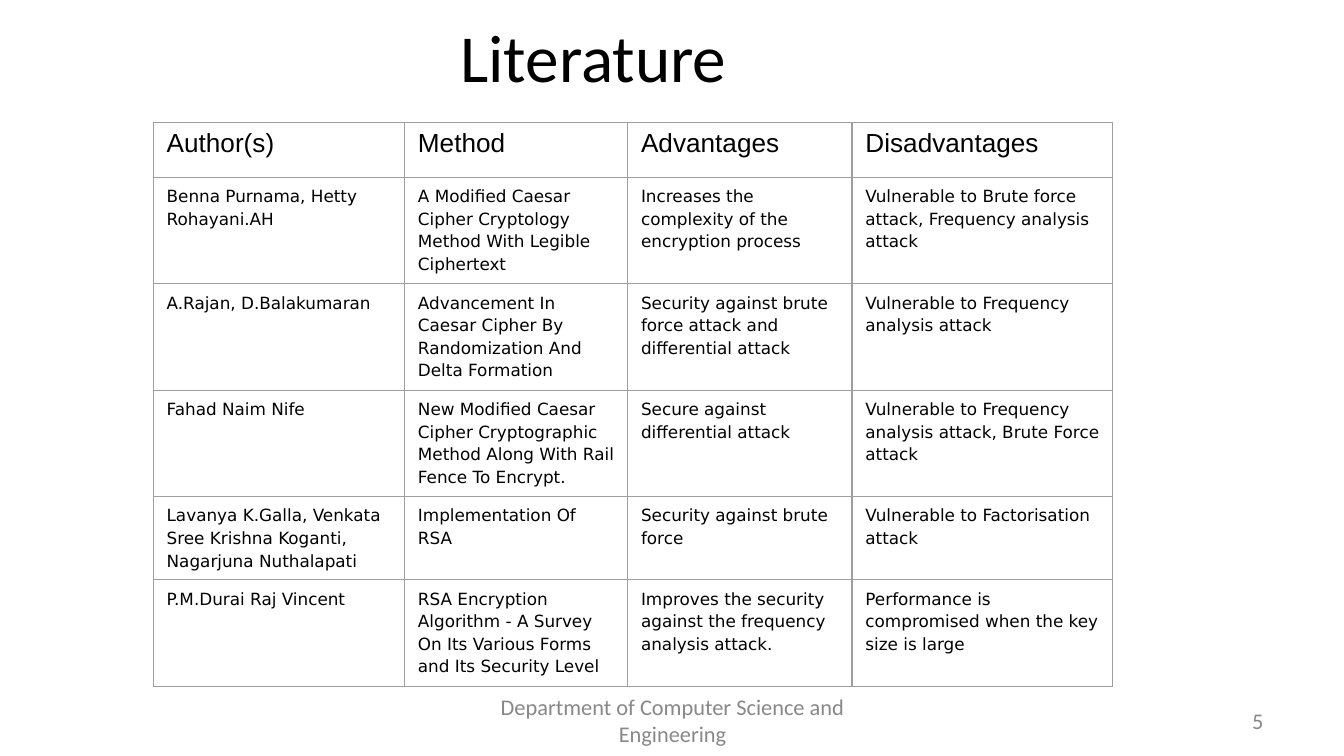
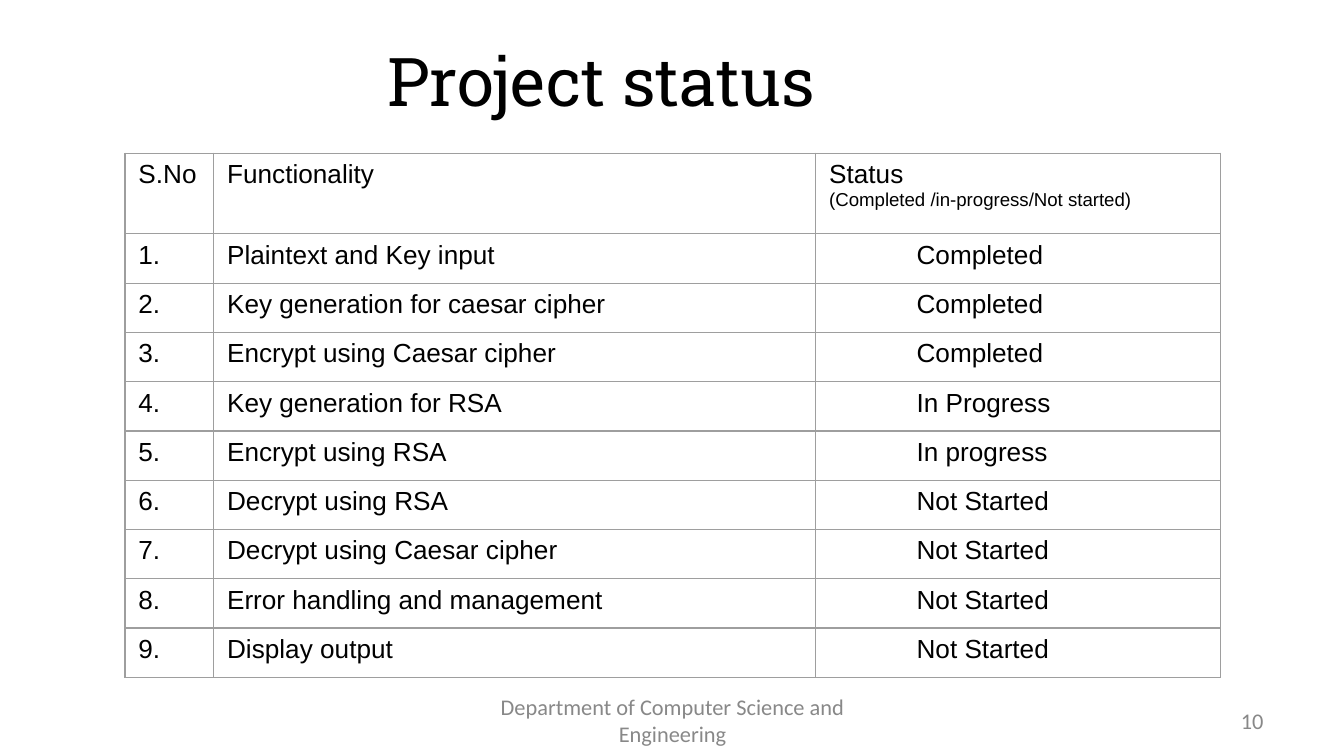
from dataclasses import dataclass

from lxml.etree import SubElement
from pptx import Presentation
from pptx.dml.color import RGBColor
from pptx.enum.text import MSO_ANCHOR, PP_ALIGN
from pptx.oxml.ns import qn
from pptx.util import Inches, Pt

COLORS = {"text": "000000", "muted": "888888", "border": "9E9E9E"}
FOOTER = "Department of Computer Science and Engineering"
BORDER_WIDTH = Pt(0.75)
FRAME_SIDE = Inches(3.28)


@dataclass(frozen=True)
class TextStyle:
    font: str
    size: float
    color: str = "text"
    align: PP_ALIGN = PP_ALIGN.LEFT
    spacing: float = 1.0


@dataclass(frozen=True)
class Box:
    left: float
    top: float
    width: float
    height: float


@dataclass(frozen=True)
class TableSpec:
    left: float
    top: float
    columns: list[float]
    row_heights: list[float]
    rows: list[tuple[str, ...]]
    body: TextStyle
    last_column_margin: float = 0.1


@dataclass(frozen=True)
class SlideSpec:
    title: str
    title_font: str
    title_box: Box
    number: str
    table: TableSpec


# Shared text styles and footer places
HEADER = TextStyle("Arial", 14)
HEADER_NOTE = TextStyle("Arial", 10)
SMALL_BODY = TextStyle("DejaVu Sans", 9, spacing=1.15)
FOOTER_STYLE = TextStyle("Calibri", 12, "muted", PP_ALIGN.CENTER)
NUMBER_STYLE = TextStyle("Calibri", 12, "muted", PP_ALIGN.RIGHT)
FOOTER_BOX = Box(3.42, 5.21, 3.17, 0.3)
NUMBER_BOX = Box(7.17, 5.21, 2.33, 0.3)

LITERATURE = [
    ("Author(s)", "Method", "Advantages", "Disadvantages"),
    ("Benna Purnama, Hetty Rohayani.AH",
     "A Modified Caesar Cipher Cryptology Method With Legible Ciphertext",
     "Increases the complexity of the encryption process",
     "Vulnerable to Brute force attack, Frequency analysis attack"),
    ("A.Rajan, D.Balakumaran",
     "Advancement In Caesar Cipher By Randomization And Delta Formation",
     "Security against brute force attack and differential attack",
     "Vulnerable to Frequency analysis attack"),
    ("Fahad Naim Nife",
     "New Modified Caesar Cipher Cryptographic Method Along With Rail Fence To Encrypt.",
     "Secure against differential attack",
     "Vulnerable to Frequency analysis attack, Brute Force attack"),
    ("Lavanya K.Galla, Venkata Sree Krishna Koganti, Nagarjuna Nuthalapati",
     "Implementation Of RSA",
     "Security against brute force",
     "Vulnerable to Factorisation attack"),
    ("P.M.Durai Raj Vincent",
     "RSA Encryption Algorithm - A Survey On Its Various Forms and Its Security Level",
     "Improves the security against the frequency analysis attack.",
     "Performance is compromised when the key size is large"),
]

TASKS = [
    ("Plaintext and Key input", "Completed"),
    ("Key generation for caesar cipher", "Completed"),
    ("Encrypt using Caesar cipher", "Completed"),
    ("Key generation for RSA", "In Progress"),
    ("Encrypt using RSA", "In progress"),
    ("Decrypt using RSA", "Not Started"),
    ("Decrypt using Caesar cipher", "Not Started"),
    ("Error handling and management", "Not Started"),
    ("Display output", "Not Started"),
]
STATUS = [("S.No", "Functionality", "Status\n(Completed /in-progress/Not started)")]
STATUS += [(f"{number}.", *task) for number, task in enumerate(TASKS, 1)]

SLIDES = [
    SlideSpec("Literature", "Calibri", Box(1.07, 0.07, 6.69, 0.69), "5",
              TableSpec(1.14, 0.91, [1.87, 1.66, 1.67, 1.94],
                        [0.41] * len(LITERATURE), LITERATURE, SMALL_BODY)),
    SlideSpec("Project status", "Roboto Slab", Box(1.13, 0.25, 6.69, 0.69), "10",
              TableSpec(0.93, 1.14, [0.66, 4.48, 3.01],
                        [0.6] + [3.3 / len(TASKS)] * len(TASKS), STATUS, HEADER, 0.75)),
]


def write_paragraph(paragraph, text: str, style: TextStyle) -> None:
    paragraph.alignment = style.align
    paragraph.line_spacing = style.spacing
    run = paragraph.add_run()
    run.text = text
    for name, value in {"name": style.font, "size": Pt(style.size)}.items():
        setattr(run.font, name, value)
    run.font.color.rgb = RGBColor.from_string(COLORS[style.color])


def add_text(slide, box: Box, text: str, style: TextStyle) -> None:
    shape = slide.shapes.add_textbox(Inches(box.left), Inches(box.top),
                                     Inches(box.width), Inches(box.height))
    frame = shape.text_frame
    for name, value in {"word_wrap": True, "vertical_anchor": MSO_ANCHOR.MIDDLE}.items():
        setattr(frame, name, value)
    write_paragraph(frame.paragraphs[0], text, style)


def set_borders(cell) -> None:
    properties = cell._tc.get_or_add_tcPr()
    for position, side in enumerate(("lnL", "lnR", "lnT", "lnB")):
        line = SubElement(properties, qn(f"a:{side}"), w=str(BORDER_WIDTH))
        fill = SubElement(line, qn("a:solidFill"))
        SubElement(fill, qn("a:srgbClr"), val=COLORS["border"])
        properties.insert(position, line)


def add_grid(slide, spec: TableSpec) -> None:
    frame = slide.shapes.add_table(
        len(spec.rows), len(spec.columns), Inches(spec.left), Inches(spec.top),
        FRAME_SIDE, FRAME_SIDE)
    table = frame.table
    for name in ("first_row", "horz_banding"):
        setattr(table, name, False)
    for column, width in zip(table.columns, spec.columns):
        column.width = Inches(width)
    for row, height in zip(table.rows, spec.row_heights):
        row.height = Inches(height)
    # Resizing rows and columns changes the frame, so its size is set last
    for name in ("width", "height"):
        setattr(frame, name, FRAME_SIDE)

    # Cells: header row first, then the body
    for row_index, values in enumerate(spec.rows):
        for column_index, text in enumerate(values):
            cell = table.cell(row_index, column_index)
            cell.fill.background()
            set_borders(cell)
            if row_index and column_index == len(values) - 1:
                cell.margin_left = Inches(spec.last_column_margin)
            first_line, *notes = text.split("\n")
            write_paragraph(cell.text_frame.paragraphs[0], first_line,
                            spec.body if row_index else HEADER)
            for note in notes:
                write_paragraph(cell.text_frame.add_paragraph(), note, HEADER_NOTE)


def add_slide(presentation, spec: SlideSpec) -> None:
    slide = presentation.slides.add_slide(presentation.slide_layouts[6])
    add_text(slide, NUMBER_BOX, spec.number, NUMBER_STYLE)
    add_text(slide, spec.title_box, spec.title,
             TextStyle(spec.title_font, 36, align=PP_ALIGN.CENTER))
    add_grid(slide, spec.table)
    add_text(slide, FOOTER_BOX, FOOTER, FOOTER_STYLE)


def main() -> None:
    presentation = Presentation()
    presentation.slide_width = Inches(10)
    presentation.slide_height = presentation.slide_width * 9 // 16
    for spec in SLIDES:
        add_slide(presentation, spec)
    presentation.save("out.pptx")


if __name__ == "__main__":
    main()
